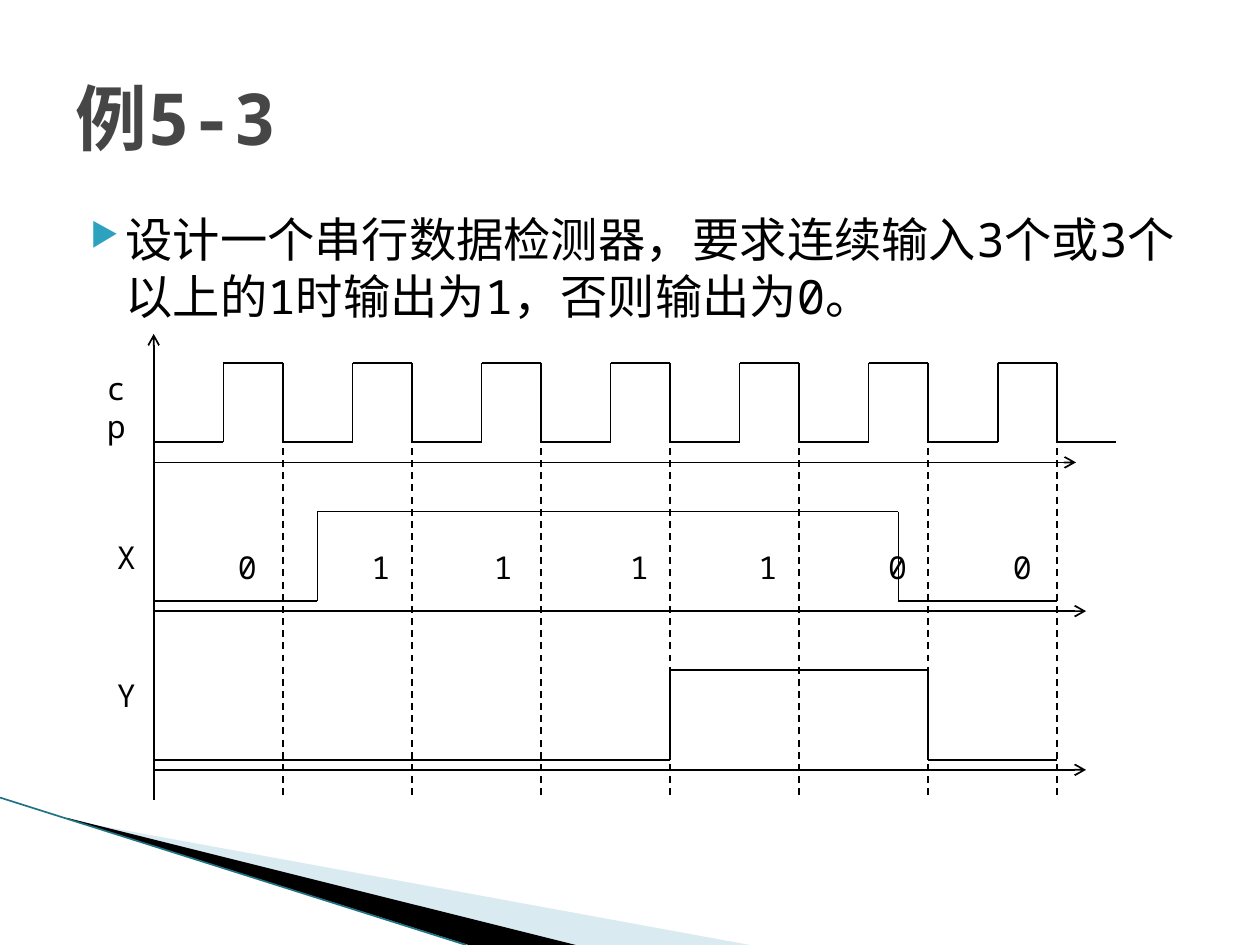
import itertools

import pptx
import pptx.dml.color
import pptx.enum.dml
import pptx.enum.shapes
import pptx.enum.text
import pptx.oxml
import pptx.oxml.ns
import pptx.util
from lxml import etree

Inches, Pt = pptx.util.Inches, pptx.util.Pt
qn = pptx.oxml.ns.qn
FONT = "Noto Sans Mono"
COLORS = {"text": "000000", "title": "464646", "bullet": "2DA2BF",
          "pale": "A0CBDC", "black": "000000", "edge": "1F7385"}
PERIODS = 7
STEP = 1.024


def rgb(name):
    return pptx.dml.color.RGBColor.from_string(COLORS[name])


def add_line(slide, start, end, color="black", width=1, dash=False, arrow=False):
    x1, y1, x2, y2 = (Inches(v) for v in (*start, *end))
    c = slide.shapes.add_connector(
        pptx.enum.shapes.MSO_CONNECTOR.STRAIGHT, x1, y1, x2, y2)
    c.line.color.rgb = rgb(color)
    c.line.width = Pt(width)
    if dash:
        c.line.dash_style = pptx.enum.dml.MSO_LINE.DASH
    if arrow:
        etree.SubElement(c.line._get_or_add_ln(), qn("a:tailEnd"), type="arrow")
    etree.SubElement(c._element.spPr, qn("a:effectLst"))


def add_wave(slide, points):
    for start, end in itertools.pairwise(points):
        add_line(slide, start, end)


def add_text(slide, box, text, size, color="text", bold=False, wrap=True):
    sp = slide.shapes.add_textbox(*(Inches(v) for v in box))
    tf = sp.text_frame
    tf.word_wrap = wrap
    p = tf.paragraphs[0]
    p.text = text
    p.font.name, p.font.size, p.font.bold = FONT, Pt(size), bold
    p.font.color.rgb = rgb(color)
    return tf


def add_polygon(slide, points, color, alpha=None):
    builder = slide.shapes.build_freeform(
        Inches(points[0][0]), Inches(points[0][1]))
    builder.add_line_segments([(Inches(x), Inches(y)) for x, y in points[1:]])
    sp = builder.convert_to_shape()
    sp.shadow.inherit = False
    sp.fill.solid()
    sp.fill.fore_color.rgb = rgb(color)
    sp.line.fill.background()
    if alpha is not None:
        clr = sp._element.spPr.find(".//" + qn("a:srgbClr"))
        etree.SubElement(clr, qn("a:alpha"), val=str(alpha * 1000))


def add_corner(slide, left, top, bottom):
    """Draw the sloping bands at the foot of the slide."""
    add_polygon(slide, [(left + 0.55, top + 0.18), (left + 5.95, bottom),
                        (left + 4.56, bottom), (left + 0.55, top + 0.17)],
                "pale", alpha=40)
    add_polygon(slide, [(left + 0.53, top + 0.16), (left + 4.57, bottom),
                        (left + 3.72, bottom), (left + 0.54, top + 0.17)], "black")
    add_line(slide, (left, top), (left + 3.7, bottom), "edge", 0.95)


def add_title(slide, box):
    tf = add_text(slide, box, "例5-3", 41, "title", bold=True)
    tf.vertical_anchor = pptx.enum.text.MSO_ANCHOR.MIDDLE


def add_body(slide, box):
    tf = add_text(slide, box, "", 27)
    p = tf.paragraphs[0]
    pPr = p._p.get_or_add_pPr()
    pPr.set("marL", str(Inches(0.4)))
    pPr.set("indent", str(Inches(-0.28)))
    bullet = [etree.Element(qn("a:buClr")),
              etree.Element(qn("a:buSzPct"), val="68000"),
              etree.Element(qn("a:buChar"), char="▶")]
    etree.SubElement(bullet[0], qn("a:srgbClr"), val=COLORS["bullet"])
    for i, element in enumerate(bullet):
        pPr.insert(i, element)
    p.text = "设计一个串行数据检测器，要求连续输入3个或3个以上的1时输出为1，否则输出为0。"


def add_timing(slide, left, top, bottom):
    """Draw the clock, input X and output Y over shared time axes."""
    falls = [left + STEP * (i + 1) for i in range(PERIODS)]
    end = falls[-1]
    high, low = top + 0.23, top + 0.86

    add_line(slide, (left, bottom), (left, top), arrow=True)
    for y, length in ((1.02, 7.32), (2.2, 7.4), (3.46, 7.4)):
        add_line(slide, (left, top + y), (left + length, top + y), arrow=True)
    for x in falls:
        add_line(slide, (x, high), (x, bottom), dash=True)

    clock = [(left, low)]
    for x in falls:
        rise = x - 0.47
        clock += [(rise, low), (rise, high), (x, high), (x, low)]
    add_wave(slide, clock + [(end + 0.47, low)])

    pulses = ((left + 1.3, left + 5.91, top + 1.41),
              (falls[3], falls[5], top + 2.67))
    for rise, fall, y in pulses:
        base = y + 0.71
        add_wave(slide, [(left, base), (rise, base), (rise, y),
                         (fall, y), (fall, base), (end, base)])

    digit_offsets = (0.57, 1.63, 2.6, 3.68, 4.7, 5.73, 6.72)
    for digit, x in zip("0111100", digit_offsets):
        add_text(slide, (left + x, top + 1.65, 0.36, 0.4), digit, 18, wrap=False)
    add_text(slide, (left - 0.47, top + 0.23, 0.47, 0.7), "cp", 18)
    for name, y in (("X", 1.57), ("Y", 2.67)):
        add_text(slide, (left - 0.39, top + y, 0.36, 0.4), name, 18, wrap=False)


def main():
    prs = pptx.Presentation()
    prs.slide_width, prs.slide_height = Inches(10), Inches(7.5)
    slide = prs.slides.add_slide(prs.slide_layouts[6])
    add_corner(slide, 0, 6.33, 7.5)
    add_body(slide, (0.5, 1.62, 9, 1.34))
    add_title(slide, (0.5, 0.3, 9, 1.25))
    add_timing(slide, 1.22, 2.65, 6.35)
    prs.save("out.pptx")


if __name__ == "__main__":
    main()
